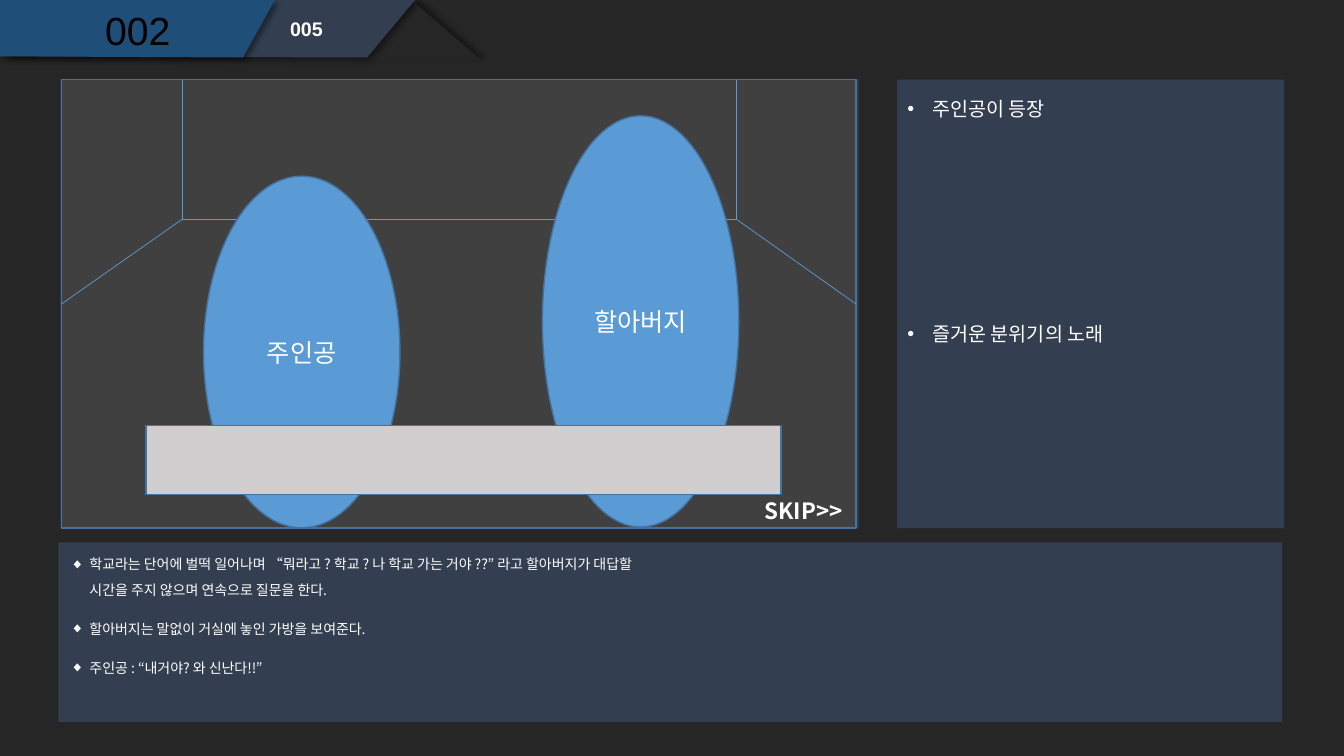
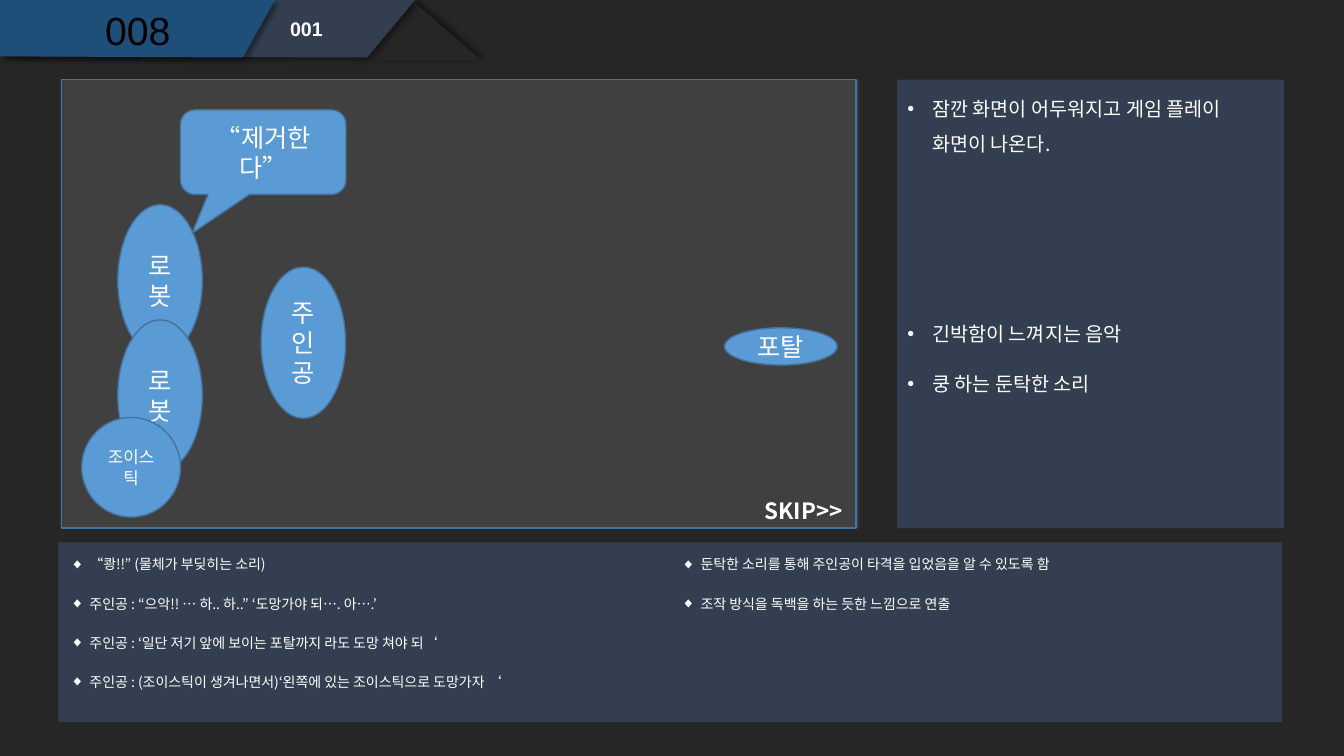
from dataclasses import dataclass
from typing import Optional

from lxml.etree import SubElement
from pptx import Presentation
from pptx.dml.color import RGBColor
from pptx.enum.shapes import MSO_CONNECTOR, MSO_SHAPE
from pptx.enum.text import MSO_ANCHOR, MSO_AUTO_SIZE, PP_ALIGN
from pptx.oxml.ns import qn
from pptx.util import Cm, Pt

COLORS = {
    "background": "262626", "panel": "333F50", "tab": "1F4E79",
    "stage": "404040", "figure": "5B9BD5", "outline": "43739E",
    "dialogue": "D0CECE", "white": "FFFFFF", "black": "000000",
}
LATIN, KOREAN = "Arial", "Noto Sans CJK KR"


@dataclass(frozen=True)
class Box:
    left: float
    top: float
    width: float
    height: float

    def emu(self) -> tuple:
        return Cm(self.left), Cm(self.top), Cm(self.width), Cm(self.height)


@dataclass(frozen=True)
class TextStyle:
    size: float
    color: str = "white"
    font: str = KOREAN
    bold: bool = False
    align: PP_ALIGN = PP_ALIGN.LEFT
    spacing: float = 1.0
    bullet: Optional[str] = None
    indent: float = 0


@dataclass(frozen=True)
class Figure:
    box: Box
    text: str = ""
    kind: MSO_SHAPE = MSO_SHAPE.OVAL
    size: float = 18
    fill: str = "figure"
    adjustments: tuple = ()


@dataclass(frozen=True)
class Scene:
    number: str
    cut: str
    notes: tuple       # paragraphs of the four body placeholders
    figures: tuple
    room: bool = False


# Positions in cm
STAGE = Box(1.55, 2.01, 20.02, 11.3)
SCENE_BOX = Box(1.55, 0.15, 3.84, 1.35)
CUT_BOX = Box(7.06, 0.38, 2.54, 0.81)
SKIP_BOX = Box(19.02, 12.4, 2.54, 0.94)
PANELS = (Box(1.52, 2.01, 20.12, 11.3), Box(22.61, 2.01, 9.75, 11.3),
          Box(1.47, 13.67, 30.84, 4.52))
TABS = (("panel", ((0.13, 0), (10.46, 0), (9.25, 1.45), (0.13, 1.42))),
        ("tab", ((0, 0), (6.93, 0), (6.12, 1.45), (0, 1.42))))

SCENE_STYLE = TextStyle(28, "black", LATIN, align=PP_ALIGN.CENTER, spacing=0.9)
CUT_STYLE = TextStyle(14, font=LATIN, bold=True, spacing=0.9)
SKIP_STYLE = TextStyle(16, bold=True)
NOTE_STYLE = TextStyle(14, spacing=1.5, bullet="•", indent=0.63)
SCRIPT_STYLE = TextStyle(10, spacing=1.5, bullet="◆", indent=0.48)
BODIES = ((Box(22.61, 2.01, 9.75, 5.61), NOTE_STYLE),
          (Box(22.61, 7.7, 9.75, 5.61), NOTE_STYLE),
          (Box(1.52, 13.67, 15.39, 4.52), SCRIPT_STYLE),
          (Box(16.92, 13.67, 15.39, 4.52), SCRIPT_STYLE))

ROBOT_LEFT, ROBOT_TOP, ROBOT_STEP = 2.97, 5.16, 2.9
SCENES = (
    Scene("002", "005", (
        ("주인공이 등장",),
        ("즐거운 분위기의 노래",),
        ("학교라는 단어에 벌떡 일어나며 “뭐라고 ? 학교 ? 나 학교 가는 거야 ??” "
         "라고 할아버지가 대답할 시간을 주지 않으며 연속으로 질문을 한다.",
         "할아버지는 말없이 거실에 놓인 가방을 보여준다.",
         "주인공 : “내거야? 와 신난다!!”"),
        (),
    ), (
        Figure(Box(13.67, 2.92, 4.95, 10.36), "할아버지"),
        Figure(Box(5.13, 4.44, 4.95, 8.86), "주인공"),
        Figure(Box(3.68, 10.72, 16, 1.75), kind=MSO_SHAPE.RECTANGLE,
               fill="dialogue"),
    ), room=True),
    Scene("008", "001", (
        ("잠깐 화면이 어두워지고 게임 플레이 화면이 나온다.",),
        ("긴박함이 느껴지는 음악", "쿵 하는 둔탁한 소리"),
        ("“쾅!!” (물체가 부딪히는 소리)",
         "주인공 : “으악!! … 하.. 하..” ‘도망가야 되…. 아….’",
         "주인공 : ‘일단 저기 앞에 보이는 포탈까지 라도 도망 쳐야 되‘",
         "주인공 : (조이스틱이 생겨나면서)‘왼쪽에 있는 조이스틱으로 도망가자 ‘"),
        ("둔탁한 소리를 통해 주인공이 타격을 입었음을 알 수 있도록 함",
         "조작 방식을 독백을 하는 듯한 느낌으로 연출"),
    ), (
        Figure(Box(6.58, 6.73, 2.13, 3.81), "주인공"),
        *(Figure(Box(ROBOT_LEFT, ROBOT_TOP + i * ROBOT_STEP, 2.13, 3.81), "로봇")
          for i in range(2)),
        Figure(Box(4.55, 2.77, 4.17, 2.13), "“제거한다”",
               MSO_SHAPE.ROUNDED_RECTANGULAR_CALLOUT,
               adjustments=(-0.43, 0.96, 0.17)),
        Figure(Box(2.06, 10.52, 2.49, 2.51), "조이스틱", size=12),
        Figure(Box(18.26, 8.26, 2.84, 0.94), "포탈"),
    )),
)


def rgb(name: str) -> RGBColor:
    return RGBColor.from_string(COLORS[name])


def paint(sp, fill: str, line: Optional[str] = None) -> None:
    sp.shadow.inherit = False
    sp.fill.solid()
    sp.fill.fore_color.rgb = rgb(fill)
    if line:
        sp.line.color.rgb = rgb(line)
        sp.line.width = Pt(1)
    else:
        sp.line.fill.background()


def cast_shadow(sp, angle: int) -> None:
    effects = sp._element.spPr.find(qn("a:effectLst"))
    shadow = SubElement(effects, qn("a:outerShdw"), blurRad=str(Pt(4)),
                        dist=str(Pt(3)), dir=str(angle * 60000), algn="tl",
                        rotWithShape="0")
    color = SubElement(shadow, qn("a:srgbClr"), val=COLORS["black"])
    SubElement(color, qn("a:alpha"), val="40000")


def write(sp, lines: tuple, style: TextStyle, anchor=MSO_ANCHOR.TOP,
          wrap: bool = True) -> None:
    tf = sp.text_frame
    tf.text = "\n".join(lines)
    tf.word_wrap = wrap
    tf.auto_size = MSO_AUTO_SIZE.NONE
    tf.vertical_anchor = anchor
    for i, p in enumerate(tf.paragraphs):
        if style.bullet:
            pPr = p._p.get_or_add_pPr()
            pPr.set("marL", str(Cm(style.indent)))
            pPr.set("indent", str(-Cm(style.indent)))
            SubElement(pPr, qn("a:buFont"), typeface=LATIN)
            SubElement(pPr, qn("a:buChar"), char=style.bullet)
        p.alignment = style.align
        p.line_spacing = style.spacing
        p.space_before = Pt(10 if i and style.bullet else 0)
        for r in p.runs:
            r.font.size = Pt(style.size)
            r.font.bold = style.bold
            r.font.name = style.font
            r.font.color.rgb = rgb(style.color)
            rPr = r._r.get_or_add_rPr()
            SubElement(rPr, qn("a:ea"), typeface=style.font)


def decorate_layout(layout, s) -> None:
    """Draw the header tabs and panels, then hand them to the layout."""
    triangle = s.shapes.add_shape(MSO_SHAPE.ISOSCELES_TRIANGLE,
                                  *Box(8.79, 0.08, 3.35, 1.45).emu())
    paint(triangle, "background")
    cast_shadow(triangle, 315)
    parts = [triangle]
    for fill, points in TABS:
        start, *rest = [(Cm(x), Cm(y)) for x, y in points]
        builder = s.shapes.build_freeform(*start)
        builder.add_line_segments(rest, close=True)
        tab = builder.convert_to_shape()
        paint(tab, fill)
        cast_shadow(tab, 45)
        parts.append(tab)
    for box in PANELS:
        panel = s.shapes.add_shape(MSO_SHAPE.RECTANGLE, *box.emu())
        paint(panel, "panel")
        parts.append(panel)
    for i, sp in enumerate(parts):
        sp._element.nvSpPr.cNvPr.set("id", str(100 + i))
        layout.shapes._spTree.insert(2 + i, sp._element)


def add_edge(s, start: tuple, end: tuple):
    edge = s.shapes.add_connector(MSO_CONNECTOR.STRAIGHT,
                                  *(Cm(v) for v in start + end))
    edge.line.color.rgb = rgb("figure")
    edge.line.width = Pt(0.5)
    SubElement(edge._element.spPr, qn("a:effectLst"))
    return edge


def add_room(s, stage) -> None:
    floor_y, middle = 5.52, STAGE.top + STAGE.height / 2
    corners = (4.6, 18.55)
    sides = ((STAGE.left, 1), (STAGE.left + STAGE.width, 3))
    for x, (side_x, site) in zip(corners, sides):
        add_edge(s, (side_x, middle), (x, floor_y)).begin_connect(stage, site)
        add_edge(s, (x, floor_y), (x, STAGE.top))
    add_edge(s, (corners[0], floor_y), (corners[1], floor_y))


def add_figure(s, figure: Figure):
    sp = s.shapes.add_shape(figure.kind, *figure.box.emu())
    for i, value in enumerate(figure.adjustments):
        sp.adjustments[i] = value
    paint(sp, figure.fill, "outline")
    if figure.text:
        write(sp, (figure.text,),
              TextStyle(figure.size, align=PP_ALIGN.CENTER), MSO_ANCHOR.MIDDLE)
    return sp


def place(sp, box: Box) -> None:
    sp.left, sp.top, sp.width, sp.height = box.emu()


def fill_scene(s, scene: Scene) -> None:
    # Scene and cut numbers
    place(s.shapes.title, SCENE_BOX)
    write(s.shapes.title, (scene.number,), SCENE_STYLE, MSO_ANCHOR.MIDDLE)
    write(s.shapes.add_textbox(*CUT_BOX.emu()), (scene.cut,), CUT_STYLE)

    # Notes and script
    for idx, (lines, (box, style)) in enumerate(zip(scene.notes, BODIES), 1):
        body = s.placeholders[idx]
        if lines:
            place(body, box)
            write(body, lines, style)
        else:
            body._element.getparent().remove(body._element)

    # Stage sketch
    stage = add_figure(s, Figure(STAGE, kind=MSO_SHAPE.RECTANGLE, fill="stage"))
    write(s.shapes.add_textbox(*SKIP_BOX.emu()), ("SKIP>>",), SKIP_STYLE,
          wrap=False)
    if scene.room:
        add_room(s, stage)
    for figure in scene.figures:
        add_figure(s, figure)


def main() -> None:
    prs = Presentation()
    prs.slide_width, prs.slide_height = Cm(33.87), Cm(19.05)
    background = prs.slide_master.background.fill
    background.solid()
    background.fore_color.rgb = rgb("background")
    layout = prs.slide_layouts.get_by_name("Comparison")
    slides = [prs.slides.add_slide(layout) for _ in SCENES]
    decorate_layout(layout, slides[0])
    for s, scene in zip(slides, SCENES):
        fill_scene(s, scene)
    prs.save("out.pptx")


if __name__ == "__main__":
    main()
